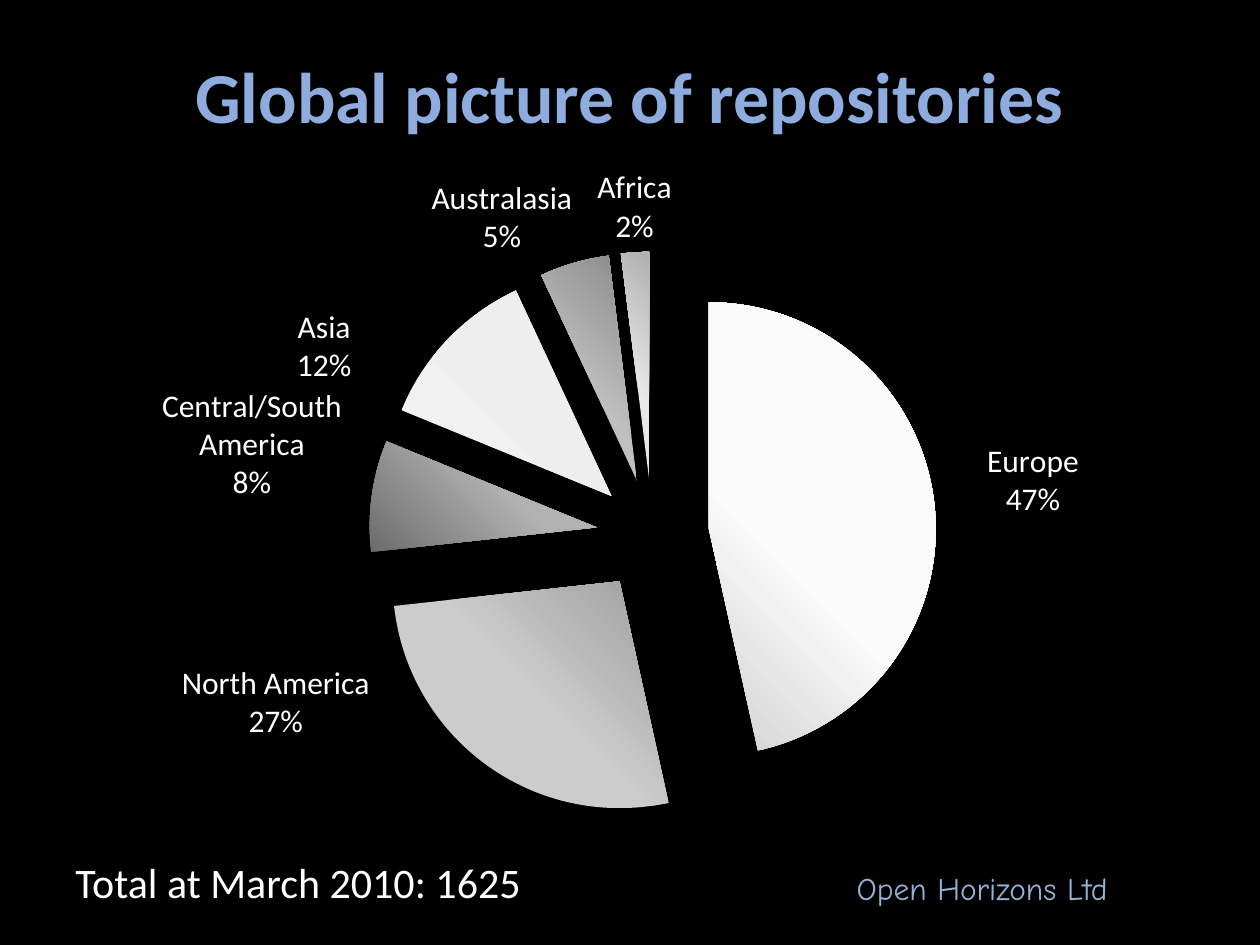
"""Build a slide with an exploded pie chart of repositories by world region."""
from pptx import Presentation
from pptx import util as u
from pptx.chart import data as cd
from pptx.dml import color
from pptx.enum import chart as ch, text
from pptx.oxml import parse_xml
from pptx.oxml.ns import nsdecls

Pt = u.Pt
RGB = color.RGBColor.from_string
THEME = {
    "bg": "000000", "title": "8FACDE", "body": "FFFFFF", "credit": "95B3D7",
    "font": "Calibri", "credit_font": "Comic Neue",
    "title_pt": 41, "total_pt": 24, "label_pt": 18,
}
REGIONS = [
    ("Europe", 47, ("D0D0D0", 0), ("FAFAFA", 0.4), (0.04, 0.02)),
    ("North America", 27, ("CCCCCC", 0.5), ("9C9C9C", 1), (-0.1, -0.15)),
    ("Central/South America", 8, ("6C6C6C", 0), ("B2B2B2", 0.6), (-0.02, 0.01)),
    ("Asia", 12, ("F4F4F4", 0), ("EEEEEE", 0.6), (-0.08, 0.07)),
    ("Australasia", 5, ("C0C0C0", 0.4), ("888888", 1), None),
    ("Africa", 2, ("E8E8E8", 0.4), ("B0B0B0", 1), None),
]


def chart_xml(tag, body="", attrs=""):
    return parse_xml(f"<c:{tag} {nsdecls('c')} {attrs}>{body}</c:{tag}>")


def add_text(s, box, words, size, font, colour, bold=False, align=None, anchor=None):
    tf = s.shapes.add_textbox(*map(Pt, box)).text_frame
    tf.word_wrap = True
    tf.vertical_anchor = anchor
    p = tf.paragraphs[0]
    p.alignment = align
    r = p.add_run()
    r.text = words
    r.font.size, r.font.name, r.font.bold = Pt(size), font, bold
    r.font.color.rgb = RGB(colour)


prs = Presentation()
prs.slide_width, prs.slide_height = Pt(720), Pt(540)
s = prs.slides.add_slide(prs.slide_layouts[6])
s.background.fill.solid()
s.background.fill.fore_color.rgb = RGB(THEME["bg"])

add_text(s, (36, 21.6, 648, 64.8), "Global picture of repositories", THEME["title_pt"],
         THEME["font"], THEME["title"], True, text.PP_ALIGN.CENTER, text.MSO_ANCHOR.MIDDLE)

data = cd.CategoryChartData()
data.categories = [region[0] for region in REGIONS]
data.add_series("Series 1", [region[1] for region in REGIONS])
chart = s.shapes.add_chart(ch.XL_CHART_TYPE.PIE, Pt(36), Pt(86.4), Pt(648), Pt(410.4), data).chart
chart.has_title = chart.has_legend = False
chart.font.size, chart.font.name = Pt(THEME["label_pt"]), THEME["font"]
chart.font.color.rgb = RGB(THEME["body"])
plot = chart.plots[0]
plot.vary_by_categories = True

area = chart.element.xpath(".//c:plotArea")[0]
for old in area.xpath("c:layout"):
    area.remove(old)
frame = "".join(f'<c:{k} val="{v}"/>' for k, v in (
    ("layoutTarget", "inner"), ("xMode", "edge"), ("yMode", "edge"),
    ("x", 0.27), ("y", 0.11), ("w", 0.5), ("h", 0.85)))
area.insert(0, chart_xml("layout", f"<c:manualLayout>{frame}</c:manualLayout>"))

series = plot.series[0]
series._element.xpath("c:tx")[0].addnext(chart_xml("explosion", attrs='val="25"'))
labels = series.data_labels
labels.show_value = False
labels.show_category_name = labels.show_percentage = True
labels.number_format, labels.number_format_is_linked = "0%", False
labels.position = ch.XL_LABEL_POSITION.OUTSIDE_END
dlbls = labels._element
for lines in dlbls.xpath("c:showLeaderLines"):
    lines.set("val", "0")
dlbls.xpath("c:showBubbleSize")[0].addnext(chart_xml("separator", "\n"))

shown = "".join(f'<c:show{k} val="{v}"/>' for k, v in (
    ("LegendKey", 0), ("Val", 0), ("CatName", 1), ("SerName", 0), ("Percent", 1), ("BubbleSize", 0)))
for i, (name, value, start, end, shift) in enumerate(REGIONS):
    fill = series.points[i].format.fill
    fill.gradient()
    fill.gradient_angle = 45
    for stop, (colour, position) in zip(fill.gradient_stops, (start, end)):
        stop.color.rgb, stop.position = RGB(colour), position
    if shift:
        dlbls.insert(i, chart_xml(
            "dLbl",
            f'<c:idx val="{i}"/><c:layout><c:manualLayout><c:x val="{shift[0]}"/>'
            f'<c:y val="{shift[1]}"/></c:manualLayout></c:layout>'
            f'<c:dLblPos val="outEnd"/>{shown}<c:separator>\n</c:separator>'))

add_text(s, (482.4, 493.2, 221, 28.8), "Open Horizons Ltd", THEME["label_pt"],
         THEME["credit_font"], THEME["credit"])
add_text(s, (36, 486, 365.8, 36), "Total at March 2010: 1625", THEME["total_pt"],
         THEME["font"], THEME["body"])

prs.save("out.pptx")
